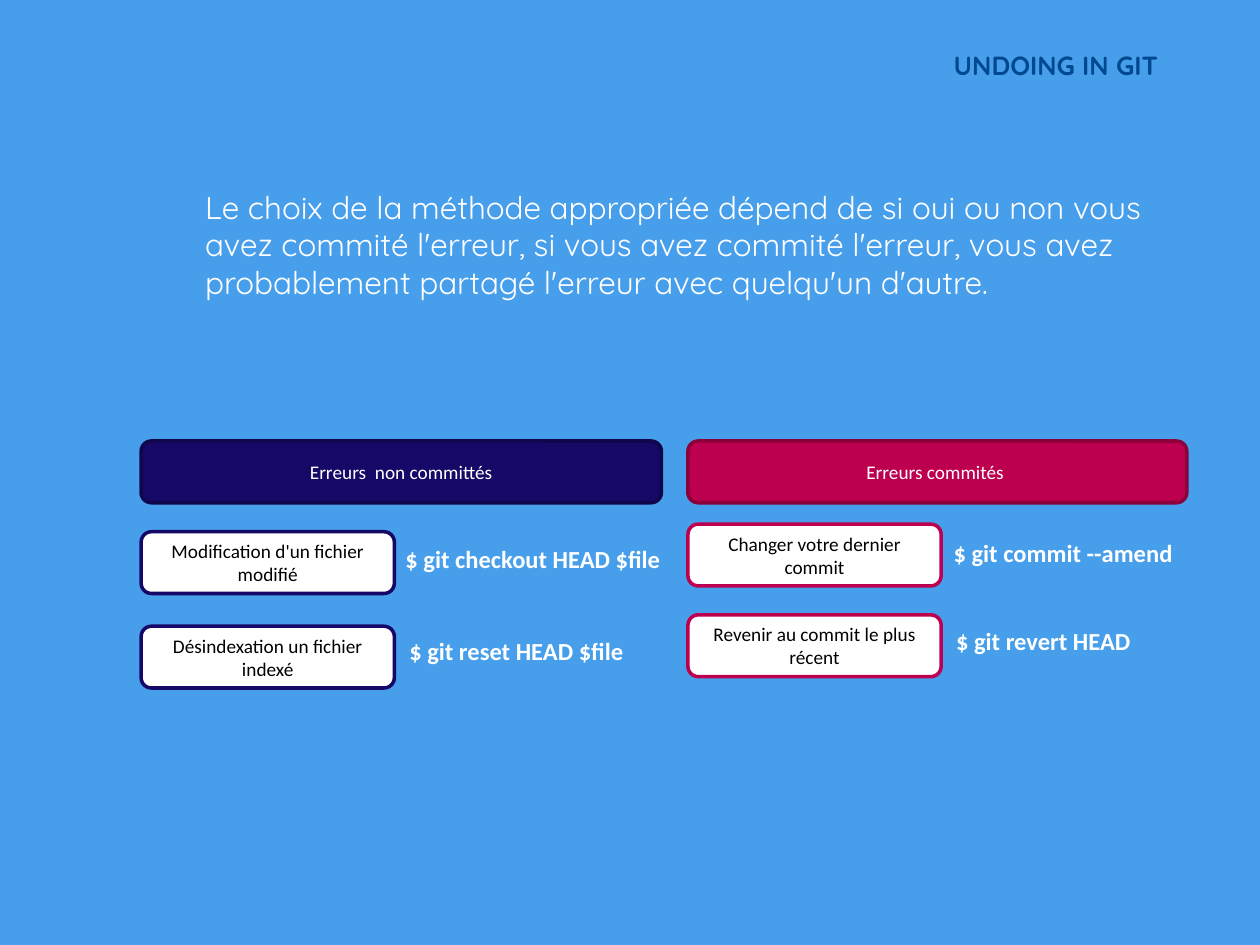
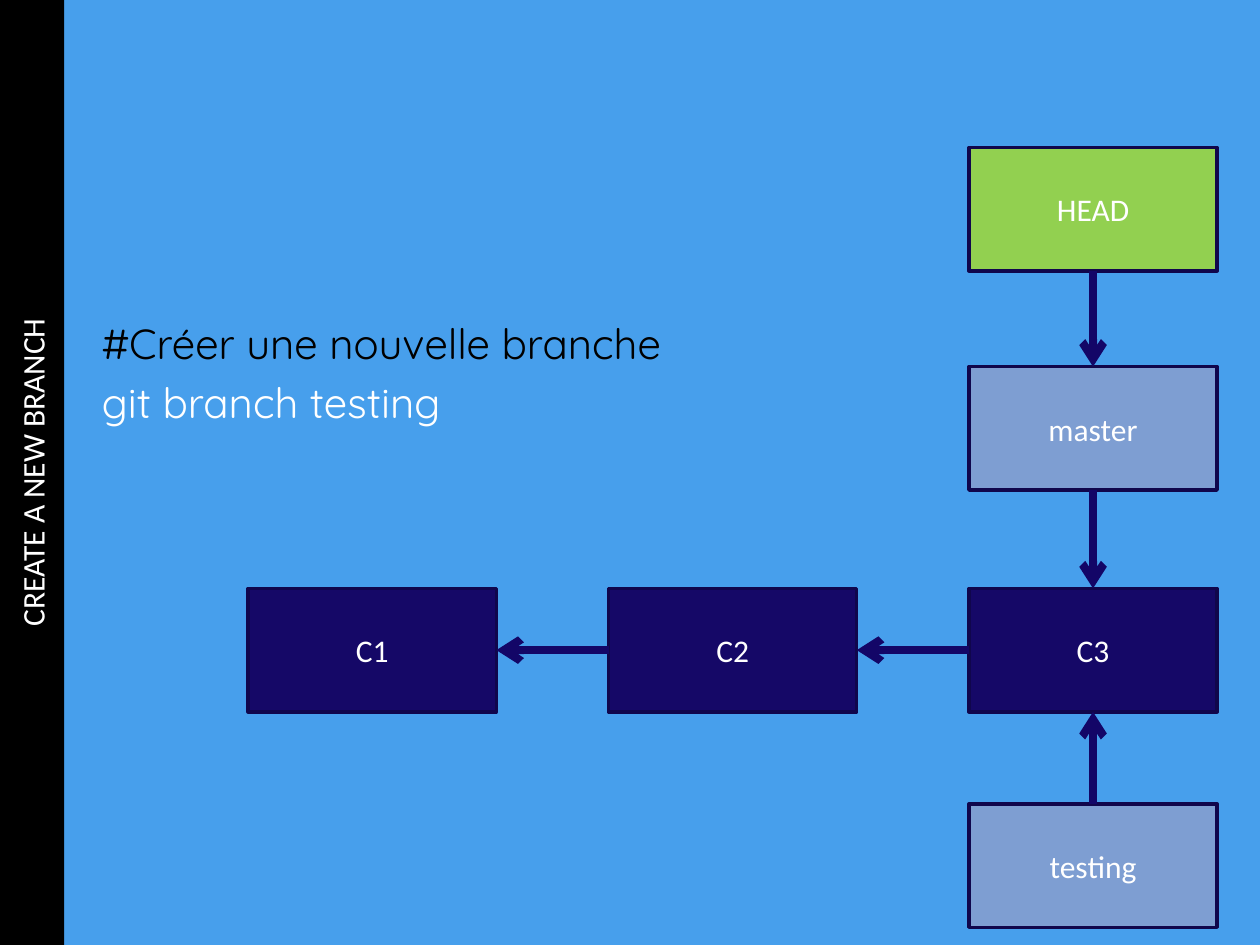
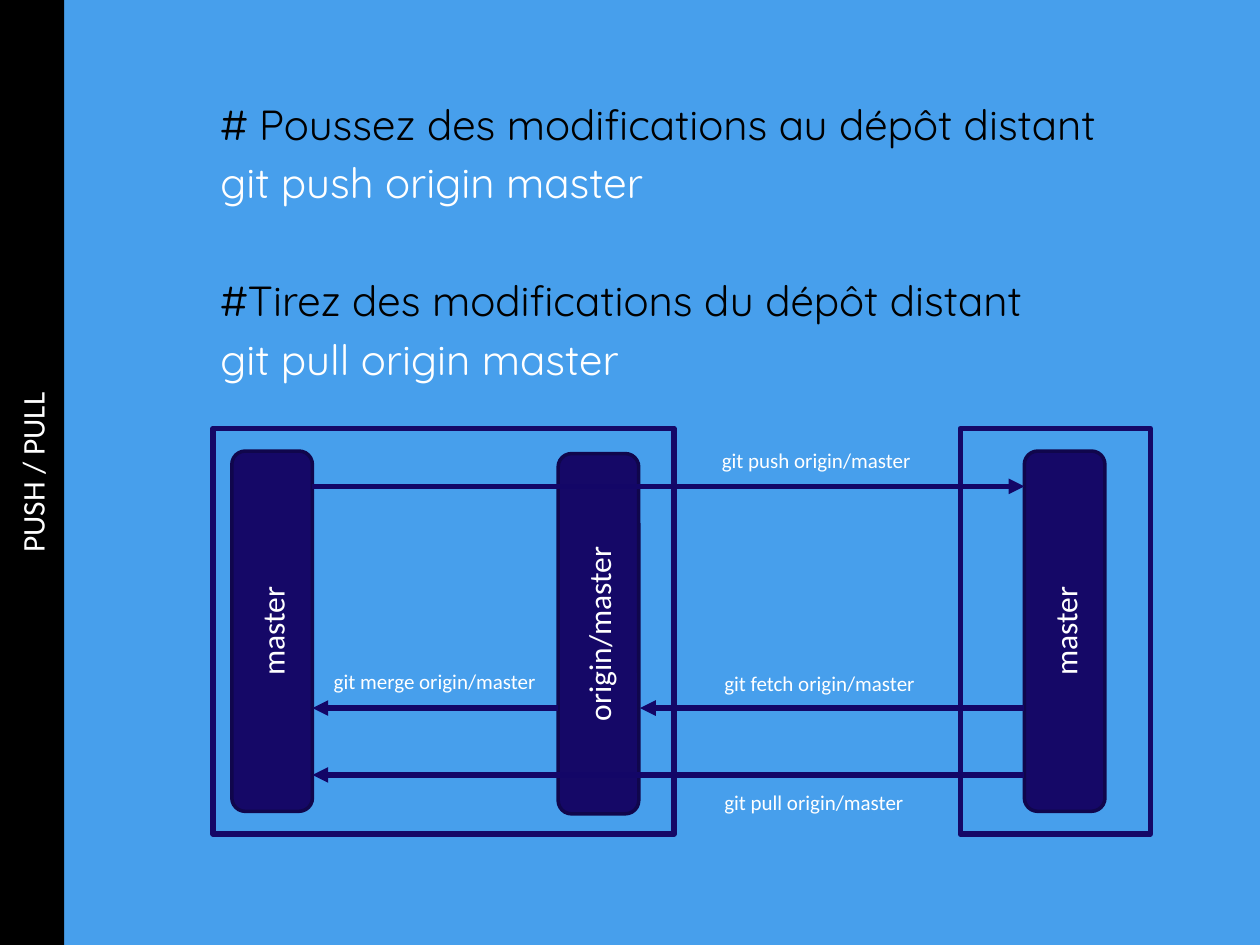
"""Build three slides about undoing, branching and sharing work in git."""
from pptx import Presentation
from pptx.dml.color import RGBColor
from pptx.enum.shapes import MSO_CONNECTOR, MSO_SHAPE
from pptx.enum.text import MSO_ANCHOR, PP_ALIGN
from pptx.oxml.ns import qn
from pptx.util import Inches, Pt
from lxml.etree import SubElement

COLORS = {
    "sky": "479FEC", "title": "004991", "white": "FFFFFF", "black": "000000",
    "navy": "150867", "navy_edge": "10064C", "arrow": "130667",
    "crimson": "BC004F", "crimson_edge": "8B003A",
    "branch": "7E9ED2", "head": "92D050",
}
BODY_FONT, LABEL_FONT = "Quicksand", "Calibri"

UNDO_TITLE = "UNDOING IN GIT"
UNDO_INTRO = (
    "Le choix de la méthode appropriée dépend de si oui ou non vous avez commité "
    "l'erreur, si vous avez commité l'erreur, vous avez probablement partagé "
    "l'erreur avec quelqu'un d'autre."
)
UNDO_COLUMNS = [
    {"left": 1.12, "width": 4.13, "color": "navy", "header": "Erreurs  non committés",
     "cases": [(4.22, "Modification d'un fichier modifié", "$ git checkout HEAD $file", (3.12, 4.27, 2.24)),
               (4.97, "Désindexation un fichier indexé", "$ git reset HEAD $file", (3.15, 5, 1.98))]},
    {"left": 5.46, "width": 3.96, "color": "crimson", "header": "Erreurs commités ",
     "cases": [(4.16, "Changer votre dernier commit", "$ git commit --amend", (7.47, 4.22, 1.95)),
               (4.88, "Revenir au commit le plus récent", "$ git revert HEAD", (7.49, 4.92, 1.6))]},
]

BRANCH_COMMANDS = [("#Créer une nouvelle branche", "git branch testing")]
COMMITS = ["C1", "C2", "C3"]
POINTERS = [("HEAD", 1.17, "head"), ("master", 2.91, "branch"), ("testing", 6.38, "branch")]
POINTER_ARROWS = [("HEAD", "master"), ("master", "C3"), ("testing", "C3")]
NODE_WIDTH, NODE_HEIGHT = 1.97, 0.98
COMMIT_LEFT, COMMIT_TOP, COMMIT_PITCH = 1.97, 4.67, 2.86

SHARE_COMMANDS = [
    ("# Poussez des modifications au dépôt distant", "git push origin master"),
    ("#Tirez des modifications du dépôt distant", "git pull origin master"),
]
REPOSITORIES = [(1.69, 3.66), (7.62, 1.51)]
BRANCH_BARS = [("master", 8.13, 3.58), ("master", 1.84, 3.58), ("origin/master", 4.43, 3.6)]
TRANSFERS = [
    (2.48, 8.13, 3.86, "git push origin/master", (5.63, 3.5, 1.71)),
    (8.13, 2.48, 6.15, "git pull origin/master", (5.65, 6.22, 1.64)),
    (8.13, 5.08, 5.62, "git fetch origin/master", (5.65, 5.27, 1.73)),
    (4.43, 2.48, 5.62, "git merge origin/master", (2.55, 5.26, 1.82)),
]


def rgb(name):
    return RGBColor.from_string(COLORS[name])


def style(para, size, color, font=LABEL_FONT, bold=False, align=PP_ALIGN.LEFT):
    para.alignment = align
    para.font.name = font
    para.font.size = Pt(size)
    para.font.bold = bold
    para.font.color.rgb = rgb(color)


def add_text(page, area, lines, size, font=LABEL_FONT, wrap=True, bold=False, align=PP_ALIGN.LEFT):
    """Add a text box; each line is (text, colour, space before in points)."""
    frame = page.shapes.add_textbox(*map(Inches, area)).text_frame
    frame.word_wrap = wrap
    for index, (text, color, space) in enumerate(lines):
        para = frame.add_paragraph() if index else frame.paragraphs[0]
        para.text = text
        para.space_before = Pt(space)
        style(para, size, color, font, bold, align)


def add_label(page, place, text, size, bold=False):
    add_text(page, (*place, 0.3), [(text, "white", 0)], size, wrap=False, bold=bold)


def add_commands(page, area, groups):
    lines = []
    for comment, command in groups:
        lines += [(comment, "black", 38.4 if lines else 0), (command, "white", 4.8)]
    add_text(page, area, lines, 24, BODY_FONT)


def add_box(page, area, text="", fill=None, edge=None, size=18, color="white",
            kind=MSO_SHAPE.RECTANGLE, weight=2, upright=False):
    shape = page.shapes.add_shape(kind, *map(Inches, area))
    shape.shadow.inherit = False
    for paint, name in ((shape.fill, fill), (shape.line.fill, edge)):
        if name:
            paint.solid()
            paint.fore_color.rgb = rgb(name)
        else:
            paint.background()
    if edge:
        shape.line.width = Pt(weight)
    if text:
        frame = shape.text_frame
        frame.vertical_anchor = MSO_ANCHOR.MIDDLE
        if upright:
            frame._txBody.bodyPr.set("vert", "vert270")
        frame.text = text
        style(frame.paragraphs[0], size, color, align=PP_ALIGN.CENTER)


def add_arrow(page, start, end, weight, tip):
    arrow = page.shapes.add_connector(MSO_CONNECTOR.STRAIGHT, *map(Inches, (*start, *end)))
    arrow.line.color.rgb = rgb("arrow")
    arrow.line.width = Pt(weight)
    SubElement(arrow.line._get_or_add_ln(), qn("a:tailEnd"), type=tip)
    SubElement(arrow._element.spPr, qn("a:effectLst"))


def add_side_band(page, text):
    add_box(page, (0, 0, 0.51, 7.5), text, "black", upright=True)


def build_undo(page):
    add_text(page, (0.29, 0.34, 9, 0.76), [(UNDO_TITLE, "title", 0)], 15, BODY_FONT,
             bold=True, align=PP_ALIGN.RIGHT)
    add_text(page, (1.53, 1.44, 7.97, 1.27), [(UNDO_INTRO, "white", 0)], 18, BODY_FONT)
    rounded = MSO_SHAPE.ROUNDED_RECTANGLE
    for column in UNDO_COLUMNS:
        left, color = column["left"], column["color"]
        add_box(page, (left, 3.5, column["width"], 0.49), column["header"],
                color, color + "_edge", 11, kind=rounded)
        for top, case, command, place in column["cases"]:
            add_box(page, (left, top, 2.01, 0.49), case, "white", color, 11, "black", rounded)
            add_label(page, place, command, 14, bold=True)


def build_branch(page):
    add_commands(page, (0.71, 2.47, 7.97, 1.79), BRANCH_COMMANDS)
    nodes = {name: (COMMIT_LEFT + index * COMMIT_PITCH, COMMIT_TOP, "navy")
             for index, name in enumerate(COMMITS)}
    pointer_left = nodes[COMMITS[-1]][0]
    nodes.update({name: (pointer_left, top, color) for name, top, color in POINTERS})
    for name, (left, top, color) in nodes.items():
        add_box(page, (left, top, NODE_WIDTH, NODE_HEIGHT), name, color, "navy_edge")

    middle = COMMIT_TOP + NODE_HEIGHT / 2
    for parent, child in zip(COMMITS, COMMITS[1:]):
        add_arrow(page, (nodes[child][0], middle), (nodes[parent][0] + NODE_WIDTH, middle), 4.5, "arrow")
    center = pointer_left + NODE_WIDTH / 2
    for source, target in POINTER_ARROWS:
        start, end = nodes[source][1], nodes[target][1]
        if start < end:
            start += NODE_HEIGHT
        else:
            end += NODE_HEIGHT
        add_arrow(page, (center, start), (center, end), 4.5, "arrow")
    add_side_band(page, "CREATE A NEW BRANCH")


def build_share(page):
    add_commands(page, (1.65, 0.73, 7.97, 4.95), SHARE_COMMANDS)
    for left, width in REPOSITORIES:
        add_box(page, (left, 3.4, width, 3.22), edge="navy", weight=3)
    for name, left, top in BRANCH_BARS:
        add_box(page, (left, top, 0.64, 2.86), name, "navy", "navy_edge",
                kind=MSO_SHAPE.ROUNDED_RECTANGLE, upright=True)
    for start, end, height, command, place in TRANSFERS:
        add_arrow(page, (start, height), (end, height), 3, "triangle")
        add_label(page, place, command, 12)
    add_side_band(page, "PUSH / PULL")


def main():
    deck = Presentation()
    deck.slide_width, deck.slide_height = Inches(10), Inches(7.5)
    backdrop = deck.slide_master.background.fill
    backdrop.solid()
    backdrop.fore_color.rgb = rgb("sky")
    for build in (build_undo, build_branch, build_share):
        build(deck.slides.add_slide(deck.slide_layouts[6]))
    deck.save("out.pptx")


if __name__ == "__main__":
    main()
